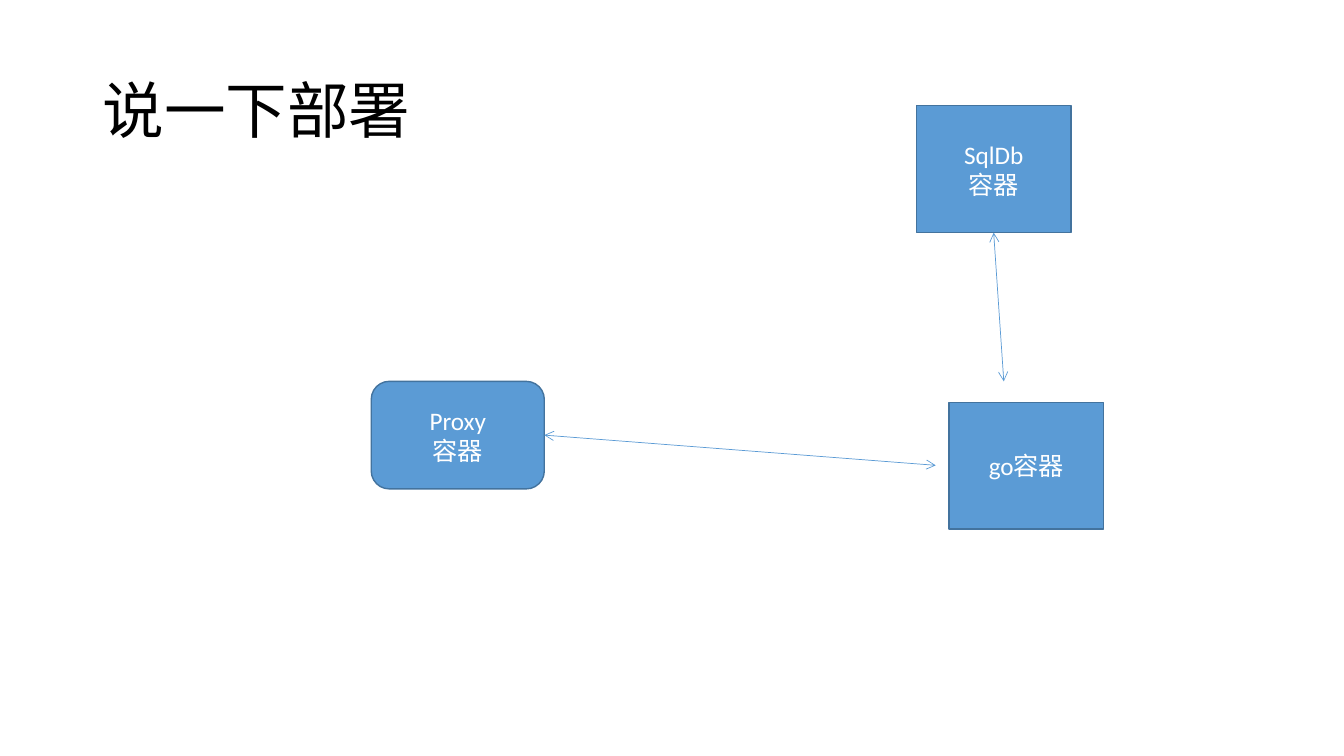
from lxml.etree import SubElement
from pptx import Presentation
from pptx.dml.color import RGBColor
from pptx.enum.shapes import MSO_CONNECTOR, MSO_SHAPE
from pptx.enum.text import MSO_ANCHOR, PP_ALIGN
from pptx.oxml.ns import qn
from pptx.util import Inches, Pt

BLACK = RGBColor(0x00, 0x00, 0x00)
WHITE = RGBColor(0xFF, 0xFF, 0xFF)
BLUE = RGBColor(0x5B, 0x9B, 0xD5)
EDGE = RGBColor(0x43, 0x73, 0x9E)
FONT = "Calibri"
COLS, ROWS = 16, 9
BOTTOM, RIGHT = 2, 3  # connection sites of a box


def write(frame, text, size=18, color=WHITE, align=PP_ALIGN.CENTER, space=None):
    """Fill a frame, one paragraph per line of text."""
    frame.text = text
    frame.word_wrap = True
    frame.vertical_anchor = MSO_ANCHOR.MIDDLE
    for para in frame.paragraphs:
        para.alignment = align
        para.line_spacing = space
        font = para.runs[0].font
        font.name, font.size = FONT, Pt(size)
        font.color.rgb = color


class Deck:
    """Style and current slide; lengths are columns and rows of the grid."""

    def __init__(self):
        self.show = Presentation()
        self.show.slide_width = Inches(13.33)
        self.show.slide_height = Inches(7.5)
        self.slide = self.show.slides.add_slide(self.show.slide_layouts[5])

    def spot(self, col, row):
        return (round(self.show.slide_width * col / COLS),
                round(self.show.slide_height * row / ROWS))

    def title(self, text, place, size):
        head = self.slide.shapes.title
        head.left, head.top = self.spot(*place)
        head.width, head.height = self.spot(*size)
        write(head.text_frame, text, size=44, color=BLACK,
              align=PP_ALIGN.LEFT, space=0.9)

    def box(self, text, place, size=(1.84, 1.51), kind=MSO_SHAPE.RECTANGLE):
        box = self.slide.shapes.add_shape(kind, *self.spot(*place), *self.spot(*size))
        box.shadow.inherit = False
        box.fill.solid()
        box.fill.fore_color.rgb = BLUE
        box.line.color.rgb = EDGE
        box.line.width = Pt(1)
        write(box.text_frame, text)
        return box

    def arrow(self, box, site, end):
        """Draw a two-headed arrow from a side of a box to a grid point."""
        link = self.slide.shapes.add_connector(
            MSO_CONNECTOR.STRAIGHT, 0, 0, *self.spot(*end))
        link.begin_connect(box, site)
        link.line.color.rgb = BLUE
        link.line.width = Pt(0.5)
        for tip in ("a:headEnd", "a:tailEnd"):
            SubElement(link.line._get_or_add_ln(), qn(tip), type="arrow")
        SubElement(link._element.spPr, qn("a:effectLst"))


deck = Deck()

# Title
deck.title("说一下部署", (1.1, 0.48), (13.8, 1.74))

# Containers
data = deck.box("SqlDb\n容器", (10.91, 1.26))
deck.box("go容器", (11.3, 4.79))
proxy = deck.box("Proxy\n容器", (4.42, 4.54), (2.06, 1.28),
                 MSO_SHAPE.ROUNDED_RECTANGLE)

# Links towards the go container
deck.arrow(proxy, RIGHT, (11.14, 5.54))
deck.arrow(data, BOTTOM, (11.95, 4.54))

deck.show.save("out.pptx")
